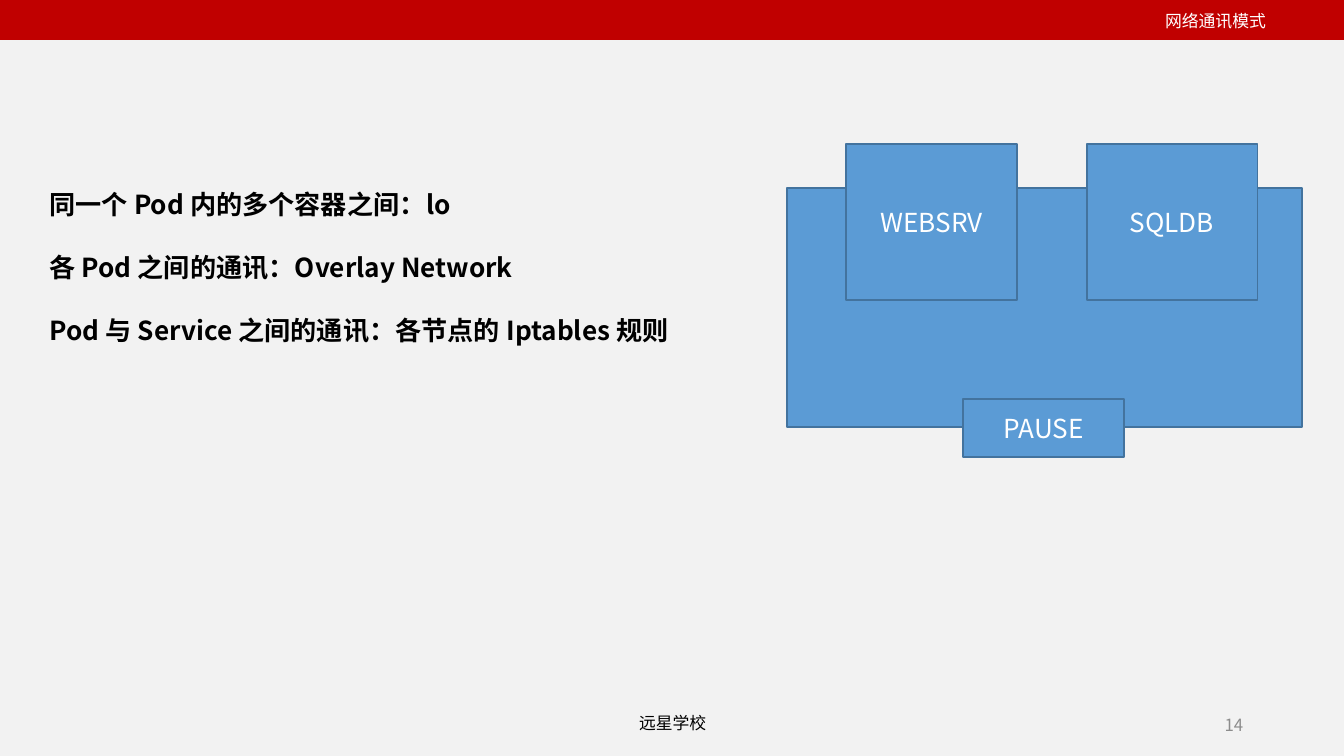
import pptx
import pptx.dml.color
import pptx.enum.shapes
import pptx.enum.text
import pptx.oxml
import pptx.oxml.ns
import pptx.util

SANS = "Noto Sans CJK SC"
SERIF = "Times New Roman"
ALIGN = pptx.enum.text.PP_ALIGN
ANCHOR = pptx.enum.text.MSO_ANCHOR
WIDE_INSETS = (0.1, 0.05)
FOOTER_INSETS = (0.07, 0.04)


def color(value):
    return pptx.dml.color.RGBColor.from_string(value)


def part(box, left, top, width, height):
    x, y, w, h = box
    return (round(x + w * left / 100), round(y + h * top / 100),
            round(w * width / 100), round(h * height / 100))


def set_values(target, values):
    for name, value in values.items():
        setattr(target, name, value)


def write(shape, lines, size, ink, font=SANS, bold=False, align=ALIGN.LEFT,
          anchor=ANCHOR.TOP, insets=WIDE_INSETS, spacing=1.0):
    side, edge = map(pptx.util.Inches, insets)
    frame = shape.text_frame
    set_values(frame, {"word_wrap": True, "vertical_anchor": anchor,
                       "margin_left": side, "margin_right": side,
                       "margin_top": edge, "margin_bottom": edge})
    for index, line in enumerate(lines):
        para = frame.add_paragraph() if index else frame.paragraphs[0]
        set_values(para, {"alignment": align, "line_spacing": spacing})
        span = para.add_run()
        span.text = line
        set_values(span.font, {"name": font, "size": pptx.util.Pt(size), "bold": bold})
        span.font.color.rgb = color(ink)
        east_asian = pptx.oxml.parse_xml(
            f'<a:ea {pptx.oxml.ns.nsdecls("a")} typeface="{SANS}"/>')
        span.font._element.append(east_asian)


def add_text(page, box, lines, size, ink, **style):
    write(page.shapes.add_textbox(*box), lines, size, ink, **style)


def add_block(page, box, fill, line, label=None):
    block = page.shapes.add_shape(pptx.enum.shapes.MSO_SHAPE.RECTANGLE, *box)
    block.shadow.inherit = False
    block.fill.solid()
    block.fill.fore_color.rgb = color(fill)
    block.line.color.rgb = color(line)
    block.line.width = pptx.util.Pt(1)
    if label:
        write(block, [label], 14, "FFFFFF", align=ALIGN.CENTER, anchor=ANCHOR.MIDDLE)


def add_header(page, box):
    add_block(page, box, "C00000", "C00000")
    add_text(page, part(box, 85.7, 10, 19.1, 86), ["网络通讯模式"], 9, "FFFFFF")


def add_rules(page, box):
    lines = ["同一个 Pod 内的多个容器之间：lo",
             "各 Pod 之间的通讯：Overlay Network",
             "Pod 与 Service 之间的通讯：各节点的 Iptables 规则"]
    add_text(page, box, lines, 14, "000000", bold=True, spacing=2.0)


def add_pod(page, box):
    blocks = [(None, (0, 14.2, 100, 76.4)),
              ("PAUSE", (34.2, 81.5, 31.3, 18.5)),
              ("WEBSRV", (11.5, 0, 33.2, 49.8)),
              ("SQLDB", (58.2, 0, 33.2, 49.8))]
    for label, share in blocks:
        add_block(page, part(box, *share), "5B9BD5", "43739E", label)


def add_footer(page, box):
    style = {"anchor": ANCHOR.MIDDLE, "insets": FOOTER_INSETS}
    add_text(page, part(box, 34.2, 3, 31.7, 87), ["远星学校"], 9, "000000",
             font=SERIF, align=ALIGN.CENTER, **style)
    add_text(page, part(box, 70.7, 0, 22.5, 100), ["14"], 9, "8C8C8C",
             align=ALIGN.RIGHT, **style)


def main():
    deck = pptx.Presentation()
    set_values(deck, {"slide_width": pptx.util.Inches(10),
                      "slide_height": pptx.util.Pt(405)})
    page = deck.slides.add_slide(deck.slide_layouts[6])
    page.background.fill.solid()
    page.background.fill.fore_color.rgb = color("F2F2F2")
    whole = (0, 0, deck.slide_width, deck.slide_height)
    regions = [(add_footer, (0, 93.16, 100, 5.33)),
               (add_header, (0, 0, 100, 5.12)),
               (add_rules, (2.7, 19.95, 93.2, 52.09)),
               (add_pod, (58.56, 19.02, 38.3, 41.42))]
    for add_region, share in regions:
        add_region(page, part(whole, *share))
    deck.save("out.pptx")


if __name__ == "__main__":
    main()
